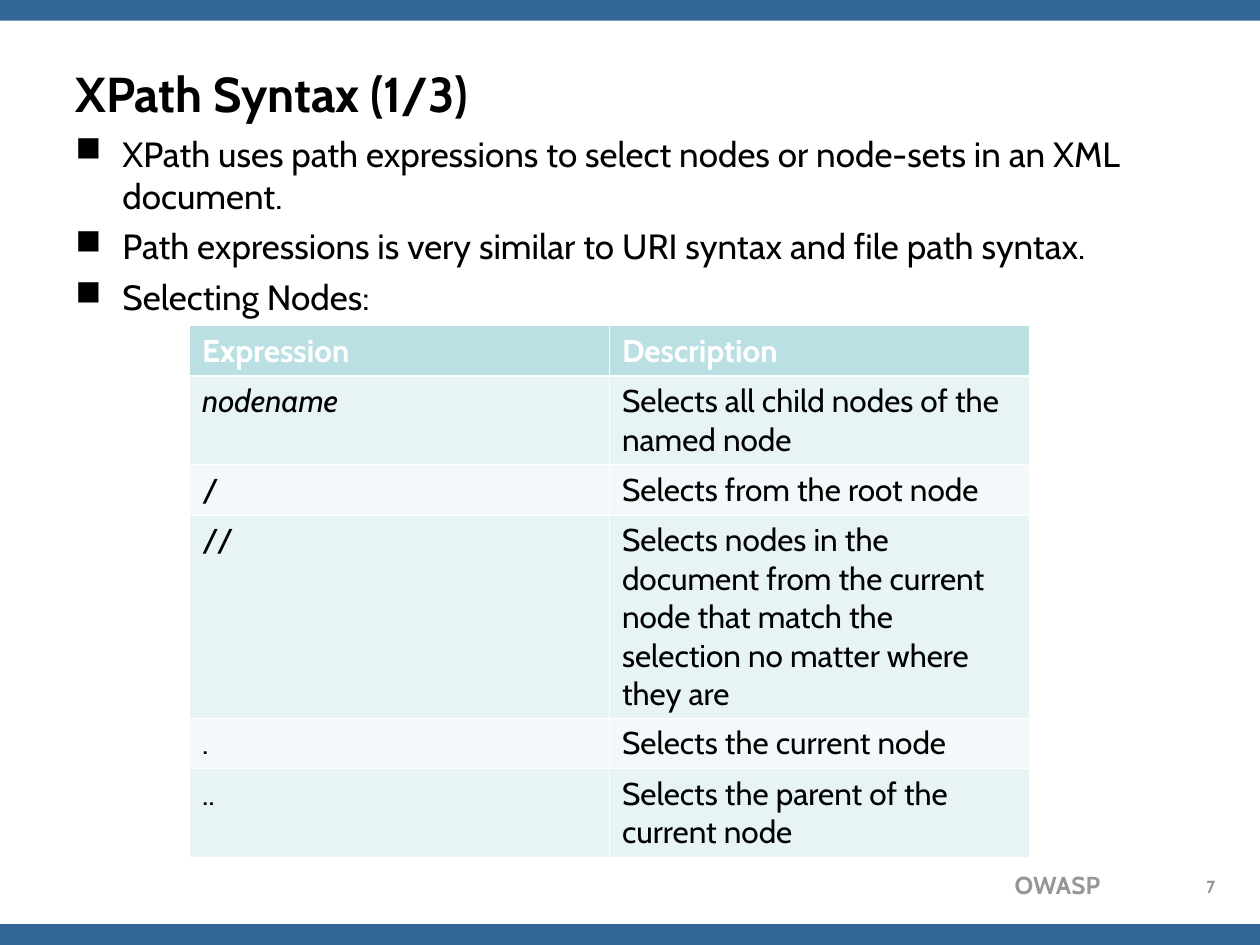
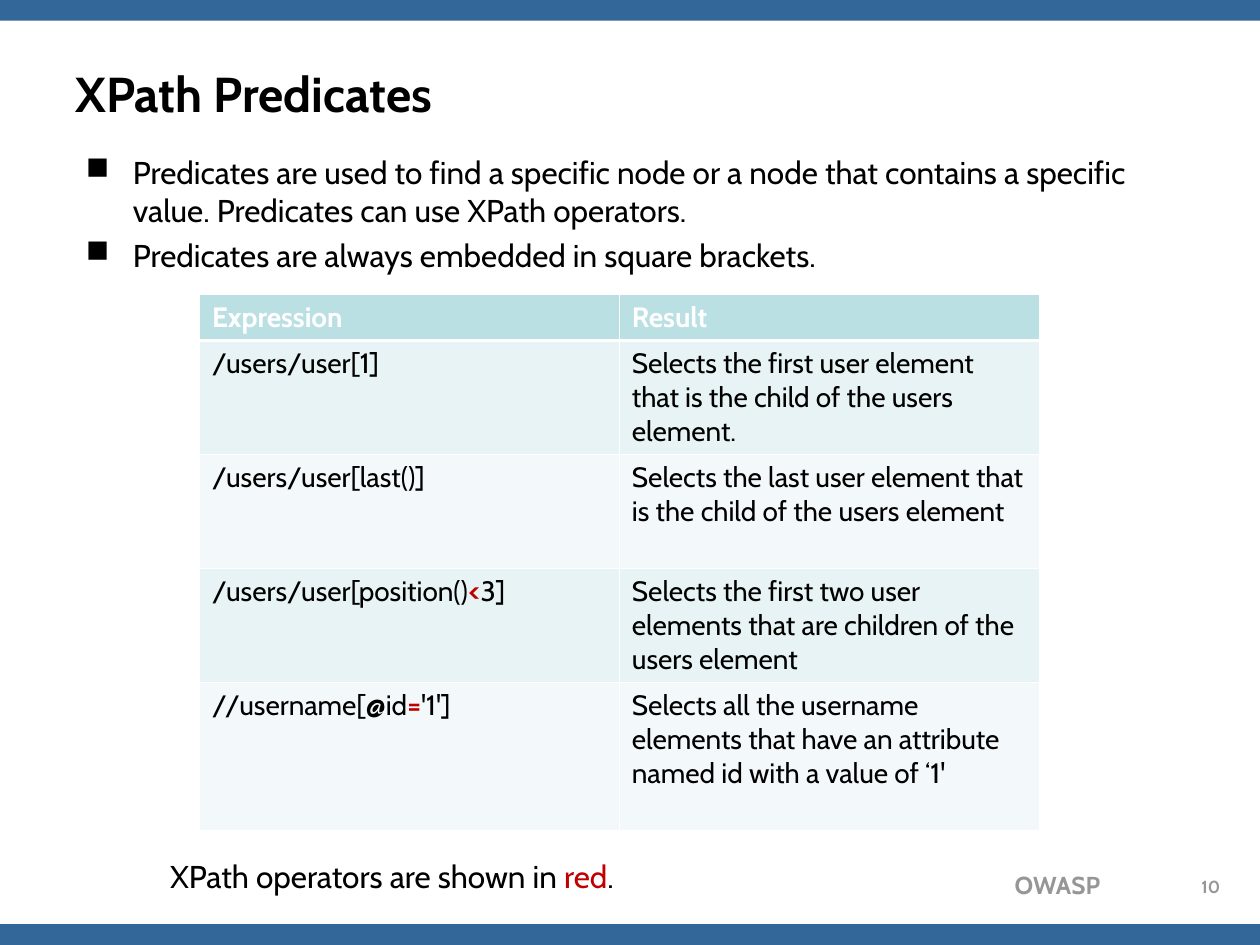
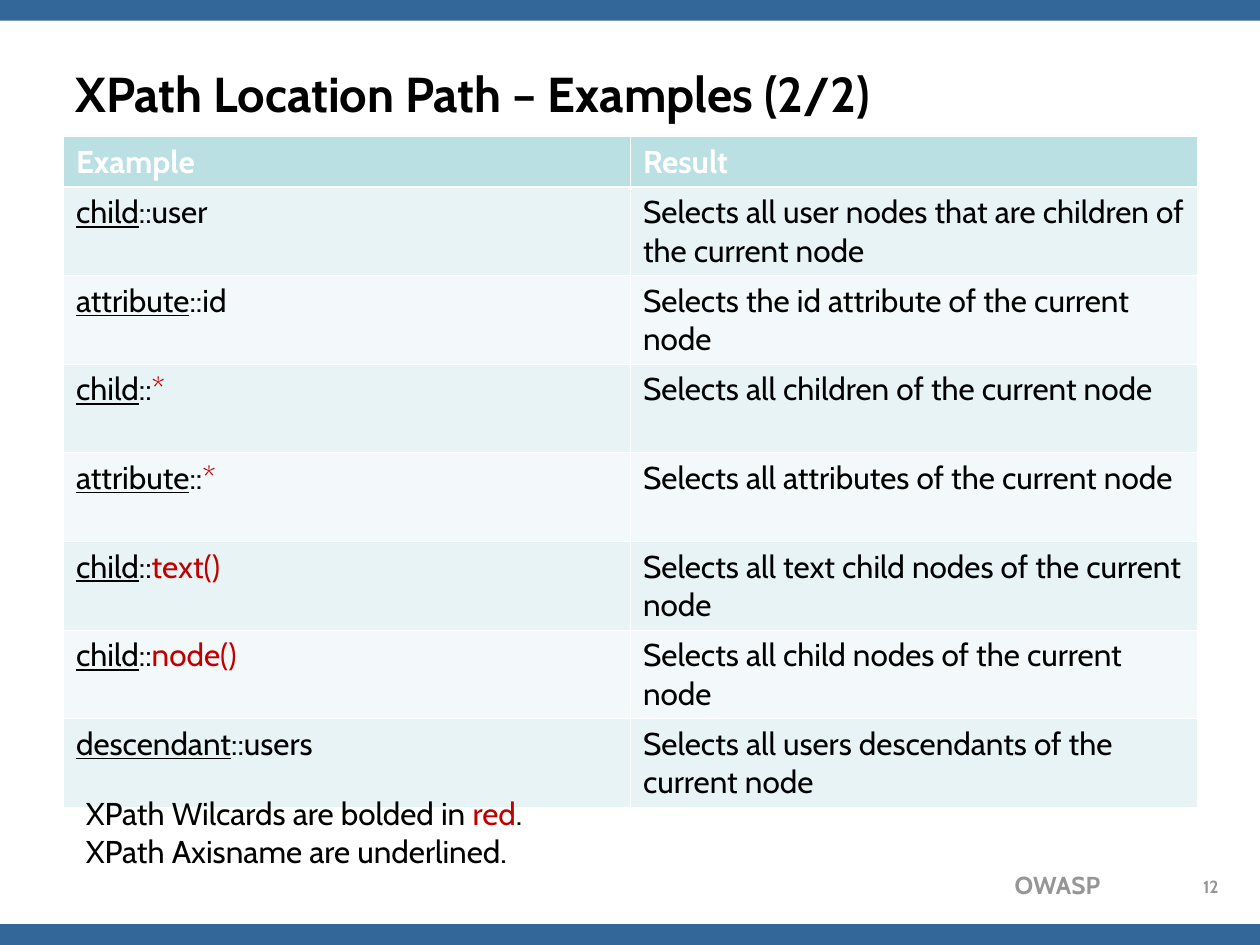
from lxml.etree import SubElement
from pptx import Presentation
from pptx.dml.color import RGBColor
from pptx.enum.shapes import MSO_SHAPE
from pptx.enum.text import MSO_ANCHOR, MSO_AUTO_SIZE as FIT, PP_ALIGN
from pptx.oxml.ns import qn
from pptx.util import Cm, Pt

# Shared look
FONT = "Cabin"
BLACK = RGBColor(0x00, 0x00, 0x00)
WHITE = RGBColor(0xFF, 0xFF, 0xFF)
BAND_BLUE = RGBColor(0x33, 0x66, 0x99)
FOOTER_GREY = RGBColor(0x96, 0x96, 0x96)
OPERATOR_RED = RGBColor(0xC0, 0x00, 0x00)
HEADER_FILL = RGBColor(0xBB, 0xE0, 0xE3)
ROW_FILLS = RGBColor(0xE7, 0xF3, 0xF4), RGBColor(0xF3, 0xF9, 0xFA)

SLIDE_WIDTH, SLIDE_HEIGHT = Cm(25.4), Cm(19.05)
BAND_HEIGHT = Cm(0.42)
TITLE_BOX = Cm(1.27), Cm(0.76), Cm(22.86), Cm(2.21)
FOOTER_BOX = Cm(15.8), Cm(17.42), Cm(6.63), Cm(0.86)
NUMBER_BOX = Cm(23.85), Cm(17.53), Cm(1.12), Cm(0.64)
BULLET_INDENT = Cm(0.95)
CELL_PADDING = Cm(0.25)
LINE_PITCH = 1.21
THIN, THICK = Pt(0.45), Pt(1.47)


# Text pieces that differ from their paragraph
def red(text, bold=None):
    return text, {"bold": bold}, OPERATOR_RED


def underlined(text):
    return text, {"underline": True}, None


def italic(text):
    return text, {"italic": True}, None


def write(paragraph, pieces, size, color=BLACK, bold=False, align=PP_ALIGN.LEFT):
    """Fill a paragraph from one string or a list of strings and styled pieces."""
    paragraph.alignment = align
    font = paragraph.font
    font.name, font.size, font.bold = FONT, Pt(size), bold
    font.color.rgb = color
    for piece in [pieces] if isinstance(pieces, str) else pieces:
        text, style, piece_color = (piece, {}, None) if isinstance(piece, str) else piece
        run = paragraph.add_run()
        run.text = text
        for key, value in style.items():
            setattr(run.font, key, value)
        if piece_color is not None:
            run.font.color.rgb = piece_color


def add_lines(slide, box, lines, size, fit=FIT.NONE, bulleted=False, **style):
    frame = slide.shapes.add_textbox(*box).text_frame
    frame.word_wrap = True
    frame.auto_size = fit
    for index, line in enumerate(lines):
        paragraph = frame.add_paragraph() if index else frame.paragraphs[0]
        if bulleted:
            add_bullet(paragraph)
            if index:
                paragraph.space_before = Pt(size / 4)
        write(paragraph, line, size, **style)


def add_bullet(paragraph):
    properties = paragraph._p.get_or_add_pPr()
    properties.set("marL", str(BULLET_INDENT))
    properties.set("indent", str(-BULLET_INDENT))
    SubElement(properties, qn("a:buChar")).set("char", "■")


# Bands, title, footer and page number
def add_titled_slide(deck, title, number):
    slide = deck.slides.add_slide(deck.slide_layouts[5])
    for top in (0, SLIDE_HEIGHT - BAND_HEIGHT):
        band = slide.shapes.add_shape(MSO_SHAPE.RECTANGLE, 0, top, SLIDE_WIDTH, BAND_HEIGHT)
        band.shadow.inherit = False
        band.fill.solid()
        band.fill.fore_color.rgb = BAND_BLUE
        band.line.fill.background()

    heading = slide.shapes.title
    heading.left, heading.top, heading.width, heading.height = TITLE_BOX
    heading.text_frame.auto_size = FIT.NONE
    heading.text_frame.vertical_anchor = MSO_ANCHOR.MIDDLE
    write(heading.text_frame.paragraphs[0], title, 28, bold=True)

    add_lines(slide, FOOTER_BOX, ["OWASP"], 14, FIT.SHAPE_TO_FIT_TEXT,
              color=FOOTER_GREY, bold=True, align=PP_ALIGN.RIGHT)
    add_lines(slide, NUMBER_BOX, [str(number)], 10,
              color=FOOTER_GREY, bold=True, align=PP_ALIGN.CENTER)
    return slide


# Two-column reference table
def add_borders(cell, row):
    widths = {"L": THIN, "R": THIN,
              "T": THICK if row == 1 else THIN,
              "B": THICK if row == 0 else THIN}
    properties = cell._tc.get_or_add_tcPr()
    for side, width in widths.items():
        line = SubElement(properties, qn(f"a:ln{side}"))
        line.set("w", str(width))
        fill = SubElement(line, qn("a:solidFill"))
        SubElement(fill, qn("a:srgbClr")).set("val", str(WHITE))


def add_reference_table(slide, left, top, width, size, rows):
    """Each row is its height in lines of text, then its two cells."""
    heights = [int(Pt(size) * LINE_PITCH * lines + CELL_PADDING) for lines, *_ in rows]
    table = slide.shapes.add_table(len(rows), 2, left, top, width, sum(heights)).table
    table.horz_banding = False
    for row, (_, *contents) in enumerate(rows):
        table.rows[row].height = heights[row]
        is_header = row == 0
        for column, content in enumerate(contents):
            cell = table.cell(row, column)
            add_borders(cell, row)
            cell.fill.solid()
            cell.fill.fore_color.rgb = HEADER_FILL if is_header else ROW_FILLS[(row - 1) % 2]
            write(cell.text_frame.paragraphs[0], content, size,
                  color=WHITE if is_header else BLACK, bold=is_header)


def build_syntax_slide(deck):
    slide = add_titled_slide(deck, "XPath Syntax (1/3)", 7)
    add_lines(slide, (Cm(1.27), Cm(2.54), Cm(22.86), Cm(13.41)), [
        "XPath uses path expressions to select nodes or node-sets in an XML document.",
        "Path expressions is very similar to URI syntax and file path syntax.",
        "Selecting Nodes:",
    ], 20, bulleted=True)
    add_reference_table(slide, Cm(3.82), Cm(6.56), Cm(16.93), 18, [
        (1, "Expression", "Description"),
        (2, [italic("nodename")], "Selects all child nodes of the named node"),
        (1, "/", "Selects from the root node"),
        (5, "//", "Selects nodes in the document from the current node that match "
                  "the selection no matter where they are"),
        (1, ".", "Selects the current node"),
        (2, "..", "Selects the parent of the current node"),
    ])


def build_predicates_slide(deck):
    slide = add_titled_slide(deck, "XPath Predicates", 10)
    add_lines(slide, (Cm(1.48), Cm(2.96), Cm(22.86), Cm(13.41)), [
        "Predicates are used to find a specific node or a node that contains "
        "a specific value. Predicates can use XPath operators.",
        "Predicates are always embedded in square brackets.",
    ], 18, bulleted=True)
    add_reference_table(slide, Cm(4.02), Cm(5.93), Cm(16.93), 16, [
        (1, "Expression", "Result"),
        (3, "/users/user[1]",
         "Selects the first user element that is the child of the users element."),
        (3, "/users/user[last()]",
         "Selects the last user element that is the child of the users element"),
        (3, ["/users/user[position()", red("<", bold=True), "3]"],
         "Selects the first two user elements that are children of the users element"),
        (4, ["//username[@id", red("=", bold=True), "'1']"],
         "Selects all the username elements that have an attribute named id "
         "with a value of ‘1'"),
    ])
    add_lines(slide, (Cm(3.18), Cm(17.15), Cm(12.27), Cm(1.02)),
              [["XPath operators are shown in ", red("red"), "."]],
              18, FIT.SHAPE_TO_FIT_TEXT)


def build_location_slide(deck):
    slide = add_titled_slide(deck, "XPath Location Path – Examples (2/2)", 12)
    examples = [
        ("child", "::user", "Selects all user nodes that are children of the current node"),
        ("attribute", "::id", "Selects the id attribute of the current node"),
        ("child", red("*"), "Selects all children of the current node"),
        ("attribute", red("*"), "Selects all attributes of the current node"),
        ("child", red("text()"), "Selects all text child nodes of the current node"),
        ("child", red("node()"), "Selects all child nodes of the current node"),
        ("descendant", "::users", "Selects all users descendants of the current node"),
    ]
    rows = [(1, "Example", "Result")]
    for axis, test, result in examples:
        node_test = [test] if isinstance(test, str) else ["::", test]
        rows.append((2, [underlined(axis), *node_test], result))
    add_reference_table(slide, Cm(1.28), Cm(2.75), Cm(22.86), 18, rows)
    add_lines(slide, (Cm(1.48), Cm(15.88), Cm(19.9), Cm(1.78)), [
        ["XPath Wilcards are bolded in ", red("red"), "."],
        "XPath Axisname are underlined.",
    ], 18, FIT.SHAPE_TO_FIT_TEXT)


def main():
    deck = Presentation()
    deck.slide_width, deck.slide_height = SLIDE_WIDTH, SLIDE_HEIGHT
    build_syntax_slide(deck)
    build_predicates_slide(deck)
    build_location_slide(deck)
    deck.save("out.pptx")


if __name__ == "__main__":
    main()
